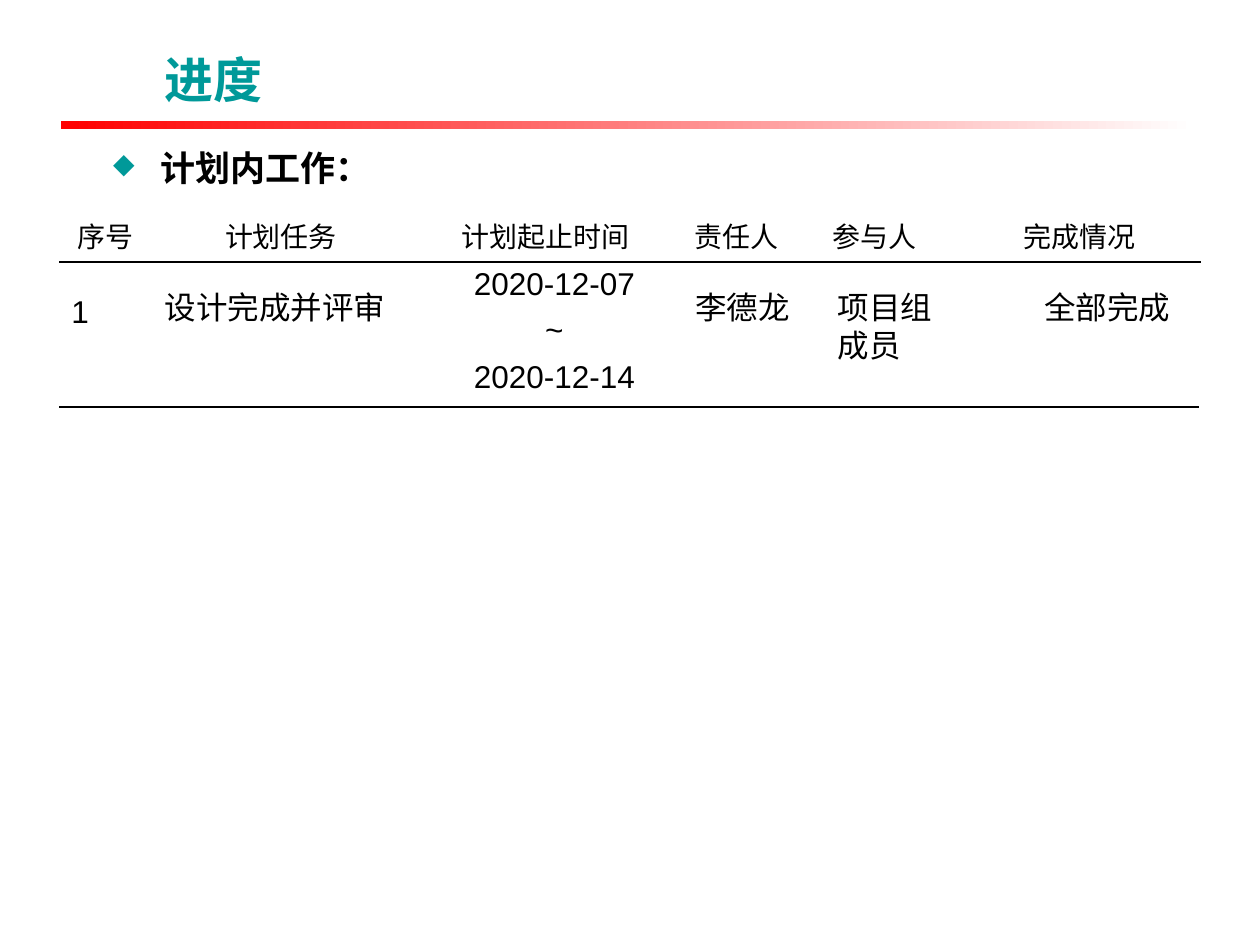
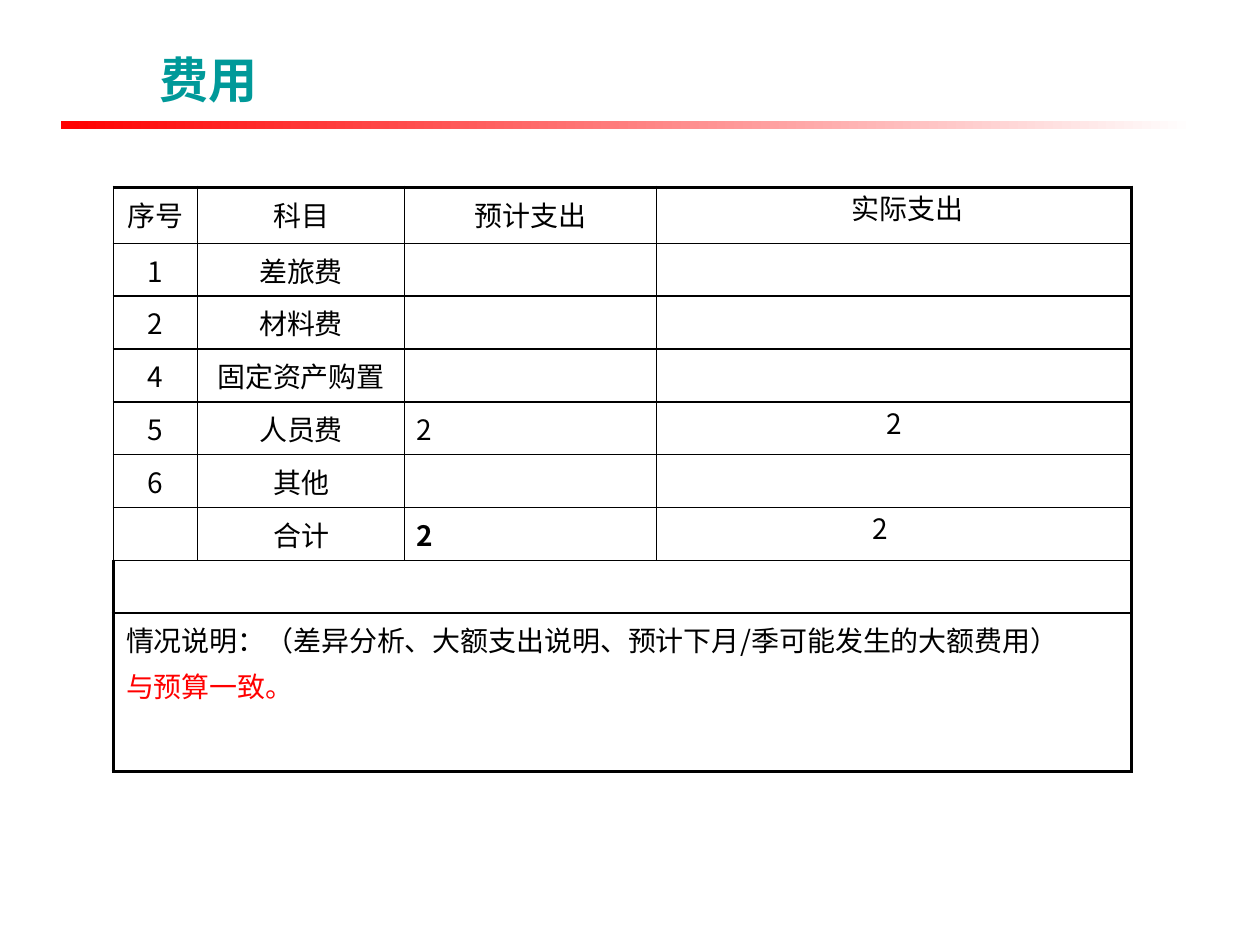
from dataclasses import dataclass
from typing import Optional, Sequence

from lxml import etree
from pptx import Presentation
from pptx import util as u
from pptx.dml import color
from pptx.enum import shapes, text
from pptx.oxml import ns

Pt = u.Pt


@dataclass(frozen=True)
class Theme:
    title: str = "009999"
    ink: str = "000000"
    alert: str = "FF0000"
    paper: str = "FFFFFF"
    latin: str = "Arial"
    chinese: str = "Noto Sans CJK SC"
    title_size: float = 28
    heading_size: float = 20
    entry_size: float = 18
    cell_size: float = 16
    thin: float = 1
    thick: float = 2.25
    pad_x: float = 7.2
    pad_y: float = 3.6


THEME = Theme()


@dataclass(frozen=True)
class Style:
    size: float
    font: str = THEME.latin
    ink: str = THEME.ink
    bold: bool = False
    centered: bool = False
    gap: float = 0


@dataclass(frozen=True)
class Box:
    left: float
    top: float
    width: float
    height: float


@dataclass(frozen=True)
class Entry:
    box: Box
    lines: Sequence[str]
    style: Style


@dataclass(frozen=True)
class Borders:
    left: Optional[float] = None
    right: Optional[float] = None
    top: Optional[float] = None
    bottom: Optional[float] = None


TITLE = Style(THEME.title_size, ink=THEME.title, bold=True)
HEADING = Style(THEME.heading_size, bold=True)
ENTRY = Style(THEME.entry_size)
DATES = Style(THEME.entry_size, centered=True, gap=4.7)
CELL = Style(THEME.cell_size, THEME.chinese, centered=True)
CELL_LEFT = Style(THEME.cell_size, THEME.chinese, gap=3.2)
CELL_TOTAL = Style(THEME.cell_size, THEME.chinese, bold=True)
CELL_ALERT = Style(THEME.cell_size, THEME.chinese, ink=THEME.alert, gap=3.2)

ROW_HEIGHT = 30.2


def rgb(value: str) -> color.RGBColor:
    return color.RGBColor.from_string(value)


def add_child(parent, tag: str, **attributes: str):
    child = etree.SubElement(parent, ns.qn(tag))
    for name, value in attributes.items():
        child.set(name, value)
    return child


def write(paragraph, content: str, style: Style) -> None:
    paragraph.alignment = text.PP_ALIGN.CENTER if style.centered else text.PP_ALIGN.LEFT
    run = paragraph.add_run()
    run.text = content
    run.font.size = Pt(style.size)
    run.font.bold = style.bold
    run.font.color.rgb = rgb(style.ink)
    run.font.name = style.font
    add_child(run.font._element, "a:ea", typeface=THEME.chinese)


def add_text(slide, entry: Entry, anchor=text.MSO_ANCHOR.TOP):
    box = entry.box
    shape = slide.shapes.add_textbox(Pt(box.left), Pt(box.top), Pt(box.width), Pt(box.height))
    frame = shape.text_frame
    frame.word_wrap = True
    frame.vertical_anchor = anchor
    for index, line in enumerate(entry.lines):
        paragraph = frame.add_paragraph() if index else frame.paragraphs[0]
        if index:
            paragraph.space_before = Pt(entry.style.gap)
        write(paragraph, line, entry.style)
    return shape


def add_bullet(paragraph, indent: float) -> None:
    properties = paragraph._p.get_or_add_pPr()
    properties.set("marL", str(Pt(indent)))
    properties.set("indent", str(-Pt(indent)))
    tint = add_child(properties, "a:buClr")
    add_child(tint, "a:srgbClr", val=THEME.title)
    add_child(properties, "a:buSzPct", val="80000")
    add_child(properties, "a:buChar", char="◆")


def add_titled_slide(presentation, title: str, left: float):
    slide = presentation.slides.add_slide(presentation.slide_layouts[6])
    band = slide.shapes.add_shape(
        shapes.MSO_SHAPE.RECTANGLE, Pt(34.9), Pt(69.3), Pt(648), Pt(4.4)
    )
    band.shadow.inherit = False
    band.line.fill.background()
    band.fill.gradient()
    band.fill.gradient_angle = 0
    for stop, position, tint in zip(
        band.fill.gradient_stops, (0, 1), (THEME.alert, THEME.paper)
    ):
        stop.position = position
        stop.color.rgb = rgb(tint)
    add_text(slide, Entry(Box(left, 20.2, 601.2, 45.4), [title], TITLE), text.MSO_ANCHOR.BOTTOM)
    return slide


def set_borders(cell, borders: Borders) -> None:
    properties = cell._tc.get_or_add_tcPr()
    for tag, width in (
        ("a:lnL", borders.left),
        ("a:lnR", borders.right),
        ("a:lnT", borders.top),
        ("a:lnB", borders.bottom),
    ):
        line = add_child(properties, tag, w=str(Pt(width or 0)))
        if width is None:
            add_child(line, "a:noFill")
        else:
            fill = add_child(line, "a:solidFill")
            add_child(fill, "a:srgbClr", val=THEME.ink)
    cell.fill.background()


def set_margins(cell, left: float, top: float, right: float, bottom: float) -> None:
    cell.margin_left, cell.margin_top = Pt(left), Pt(top)
    cell.margin_right, cell.margin_bottom = Pt(right), Pt(bottom)


def add_grid(slide, left: float, top: float, widths: Sequence[float], heights: Sequence[float]):
    table = slide.shapes.add_table(
        len(heights), len(widths), Pt(left), Pt(top), Pt(sum(widths)), Pt(sum(heights))
    ).table
    table.first_row = False
    table.horz_banding = False
    for column, width in zip(table.columns, widths):
        column.width = Pt(width)
    for row, height in zip(table.rows, heights):
        row.height = Pt(height)
    for cell in table.iter_cells():
        set_margins(cell, THEME.pad_x, THEME.pad_y, THEME.pad_x, THEME.pad_y)
    return table


def build_schedule(presentation) -> None:
    slide = add_titled_slide(presentation, "进度", 87.1)
    heading = add_text(slide, Entry(Box(57.6, 79.9, 632.2, 36), ["计划内工作："], HEADING))
    add_bullet(heading.text_frame.paragraphs[0], 27)

    headers = ["序号", "计划任务", "计划起止时间", "责任人", "参与人", "完成情况"]
    widths = [53.3, 146.9, 155.5, 62.6, 95.8, 138.2]
    table = add_grid(slide, 33.8, 119.5, widths, [ROW_HEIGHT])
    for cell, header in zip(table.iter_cells(), headers):
        write(cell.text_frame.paragraphs[0], header, CELL)
        set_borders(cell, Borders(bottom=THEME.thin))

    name_top = 161.3
    for entry in (
        Entry(Box(33.8, 163.4, 47.5, 28.8), ["1"], ENTRY),
        Entry(Box(87.1, name_top, 144, 28.8), ["设计完成并评审"], ENTRY),
        Entry(Box(241.2, 147.6, 151.2, 81.4), ["2020-12-07", "~", "2020-12-14"], DATES),
        Entry(Box(390.2, name_top, 68.4, 51.1), ["李德龙"], ENTRY),
        Entry(Box(471.6, name_top, 68.4, 51.1), ["项目组成员"], ENTRY),
        Entry(Box(589.7, name_top, 87.1, 28.8), ["全部完成"], ENTRY),
    ):
        add_text(slide, entry)

    rule = slide.shapes.add_connector(
        shapes.MSO_CONNECTOR.STRAIGHT, Pt(33.8), Pt(232.6), Pt(685.4), Pt(232.6)
    )
    rule.line.color.rgb = rgb(THEME.ink)
    rule.line.width = Pt(0.75)
    add_child(rule._element.spPr, "a:effectLst")


def build_costs(presentation) -> None:
    slide = add_titled_slide(presentation, "费用", 84.2)
    records = [
        ("序号", "科目", "预计支出", "实际支出"),
        ("1", "差旅费", "", ""),
        ("2", "材料费", "", ""),
        ("4", "固定资产购置", "", ""),
        ("5", "人员费", "2", "2"),
        ("6", "其他", "", ""),
        ("", "合计", "2", "2"),
    ]
    total_row = len(records) - 1
    note_row = len(records) + 1
    heights = [32] + [ROW_HEIGHT] * len(records) + [90.4]
    table = add_grid(slide, 64.8, 107.1, [48.2, 118.1, 144, 271.4], heights)

    for row, record in enumerate(records):
        for column, content in enumerate(record):
            style = CELL
            if column == 2 and row:
                style = CELL_TOTAL if row == total_row else CELL_LEFT
            write(table.cell(row, column).text_frame.paragraphs[0], content, style)
    for row, left, right in ((0, 16, 0), (4, 0, 0), (total_row, 0, 16)):
        set_margins(table.cell(row, 3), left, 0, right, 0)

    for row in range(len(records), len(heights)):
        table.cell(row, 0).merge(table.cell(row, 3))
    write(table.cell(len(records), 0).text_frame.paragraphs[0], "", CELL_LEFT)
    note = table.cell(note_row, 0).text_frame
    write(
        note.paragraphs[0],
        "情况说明：（差异分析、大额支出说明、预计下月/季可能发生的大额费用）",
        CELL_LEFT,
    )
    remark = note.add_paragraph()
    remark.space_before = Pt(CELL_ALERT.gap)
    write(remark, "与预算一致。", CELL_ALERT)

    def weight(outer: bool) -> float:
        return THEME.thick if outer else THEME.thin

    for row in range(len(heights)):
        merged = row >= len(records)
        for column in range(4):
            set_borders(
                table.cell(row, column),
                Borders(
                    left=weight(merged),
                    right=weight(merged or column == 3),
                    top=weight(row == 0),
                    bottom=weight(row == note_row),
                ),
            )


def main() -> None:
    presentation = Presentation()
    presentation.slide_width, presentation.slide_height = Pt(720), Pt(540)
    build_schedule(presentation)
    build_costs(presentation)
    presentation.save("out.pptx")


main()
